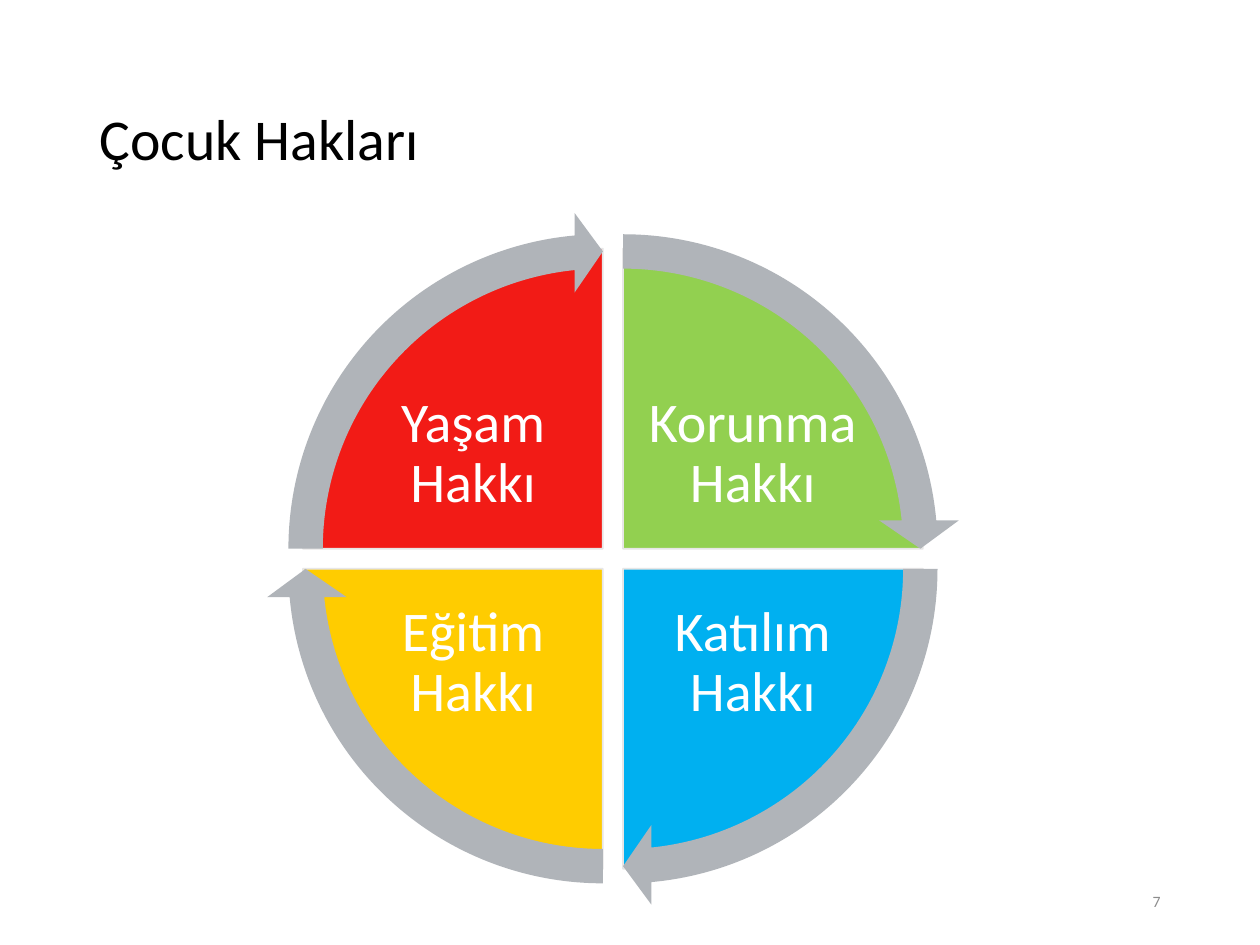
from pptx import Presentation
from pptx.dml.color import RGBColor
from pptx.enum.shapes import MSO_SHAPE
from pptx.enum.text import MSO_ANCHOR, PP_ALIGN
from pptx.util import Inches, Pt

PIE, CIRCULAR_ARROW = MSO_SHAPE.PIE, MSO_SHAPE.CIRCULAR_ARROW
MIDDLE = MSO_ANCHOR.MIDDLE
LEFT, CENTER, RIGHT = PP_ALIGN.LEFT, PP_ALIGN.CENTER, PP_ALIGN.RIGHT
FONT = "Calibri"
COLORS = {
    "green": "92D050", "blue": "00B0F0", "yellow": "FFCC00", "red": "F21B16",
    "arrow": "B0B4B9", "outline": "E7E6E6", "white": "FFFFFF",
    "black": "000000", "muted": "8C8C8C",
}
QUARTER_TURN, FULL_TURN = 54, 216
RIGHTS = [
    ("Korunma Hakkı", "green", 162, 1, 0),
    ("Katılım Hakkı", "blue", 0, 1, 1),
    ("Eğitim Hakkı", "yellow", 54, 0, 1),
    ("Yaşam Hakkı", "red", 108, 0, 0),
]


def color(name):
    """Return the palette colour with this name."""
    return RGBColor.from_string(COLORS[name])


def write_text(shape, text, size, color_name, alignment, spacing=0.9):
    """Write one formatted paragraph, centred vertically in the shape."""
    frame = shape.text_frame
    frame.word_wrap = True
    frame.vertical_anchor = MIDDLE
    frame.text = text
    paragraph = frame.paragraphs[0]
    paragraph.alignment = alignment
    paragraph.line_spacing = spacing
    paragraph.font.name = FONT
    paragraph.font.size = Pt(size)
    paragraph.font.color.rgb = color(color_name)
    return frame


def add_title(slide, left, top, width, height):
    """Place the slide title."""
    title = slide.shapes.title
    title.left, title.top = Inches(left), Inches(top)
    title.width, title.height = Inches(width), Inches(height)
    write_text(title, "Çocuk Hakları", 33, "black", LEFT)


def add_circle_part(slide, kind, center, diameter, fill, adjustments):
    """Draw a pie or circular arrow around a centre point."""
    left, top = (Inches(value - diameter / 2) for value in center)
    shape = slide.shapes.add_shape(kind, left, top, Inches(diameter), Inches(diameter))
    shape.shadow.inherit = False
    shape.fill.solid()
    shape.fill.fore_color.rgb = color(fill)
    shape.line.fill.background()
    for index, value in enumerate(adjustments):
        shape.adjustments[index] = value
    return shape


def add_label(slide, text, center, column, row):
    """Place a label in its quarter, near the middle of the cycle."""
    width, height, side, gap = 1.76, 1.3, 0.15, 0.1
    left = center[0] + (side if column else -side - width)
    top = center[1] + (gap if row else -gap - height)
    box = slide.shapes.add_textbox(Inches(left), Inches(top), Inches(width), Inches(height))
    frame = write_text(box, text, 32, "white", CENTER)
    frame.margin_left = frame.margin_right = Inches(0.04)
    frame.margin_top = frame.margin_bottom = Inches(0.04)


def add_rights_cycle(slide, left, top, size):
    """Draw four labelled quarters with arrows running clockwise."""
    gap, pie_diameter = 0.16, 4.76
    arrow_diameter = size - gap
    arrows = []
    for text, fill, start, column, row in RIGHTS:
        center = (left + arrow_diameter / 2 + column * gap,
                  top + arrow_diameter / 2 + row * gap)
        end = (start + QUARTER_TURN) % FULL_TURN
        pie = add_circle_part(slide, PIE, center, pie_diameter, fill, (start, end))
        pie.line.color.rgb = color("outline")
        pie.line.width = Pt(1)
        add_label(slide, text, center, column, row)
        arrows.append((center, start))
    for center, start in arrows:
        adjustments = (0.051, 3.275, start + 50.725, start, 0.059)
        add_circle_part(slide, CIRCULAR_ARROW, center, arrow_diameter, "arrow", adjustments)


def add_page_number(slide, left, top, width, height):
    """Place the page number."""
    box = slide.shapes.add_textbox(Inches(left), Inches(top), Inches(width), Inches(height))
    write_text(box, "7", 9, "muted", RIGHT, 1.0)


def main():
    """Build and save the presentation."""
    presentation = Presentation()
    presentation.slide_width, presentation.slide_height = Inches(10), Inches(7.5)
    slide = presentation.slides.add_slide(presentation.slide_layouts.get_by_name("Title Only"))
    add_title(slide, 0.69, 0.4, 8.62, 1.45)
    add_rights_cycle(slide, 2.11, 1.68, 5.51)
    add_page_number(slide, 7.06, 6.95, 2.25, 0.4)
    presentation.save("out.pptx")


if __name__ == "__main__":
    main()
